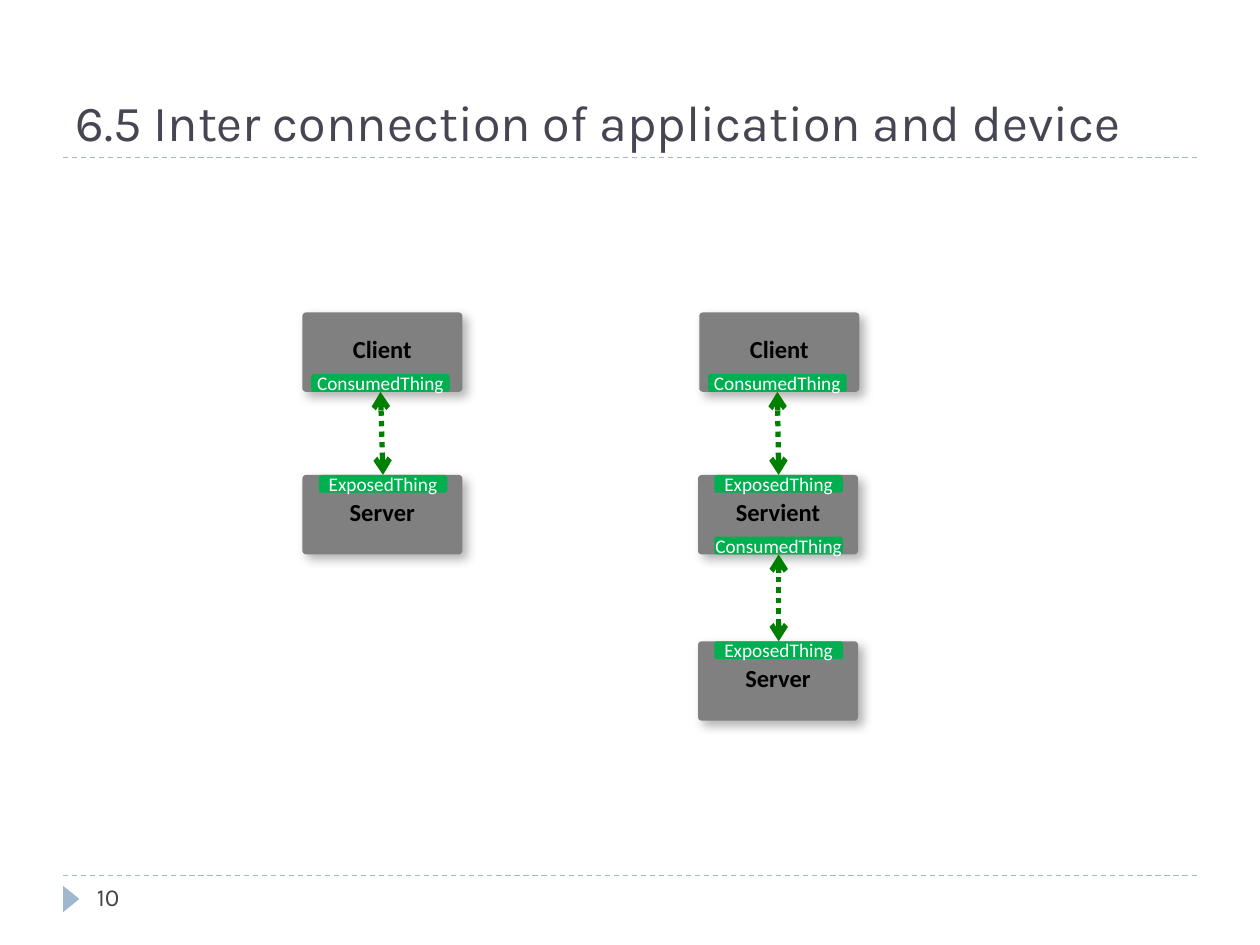
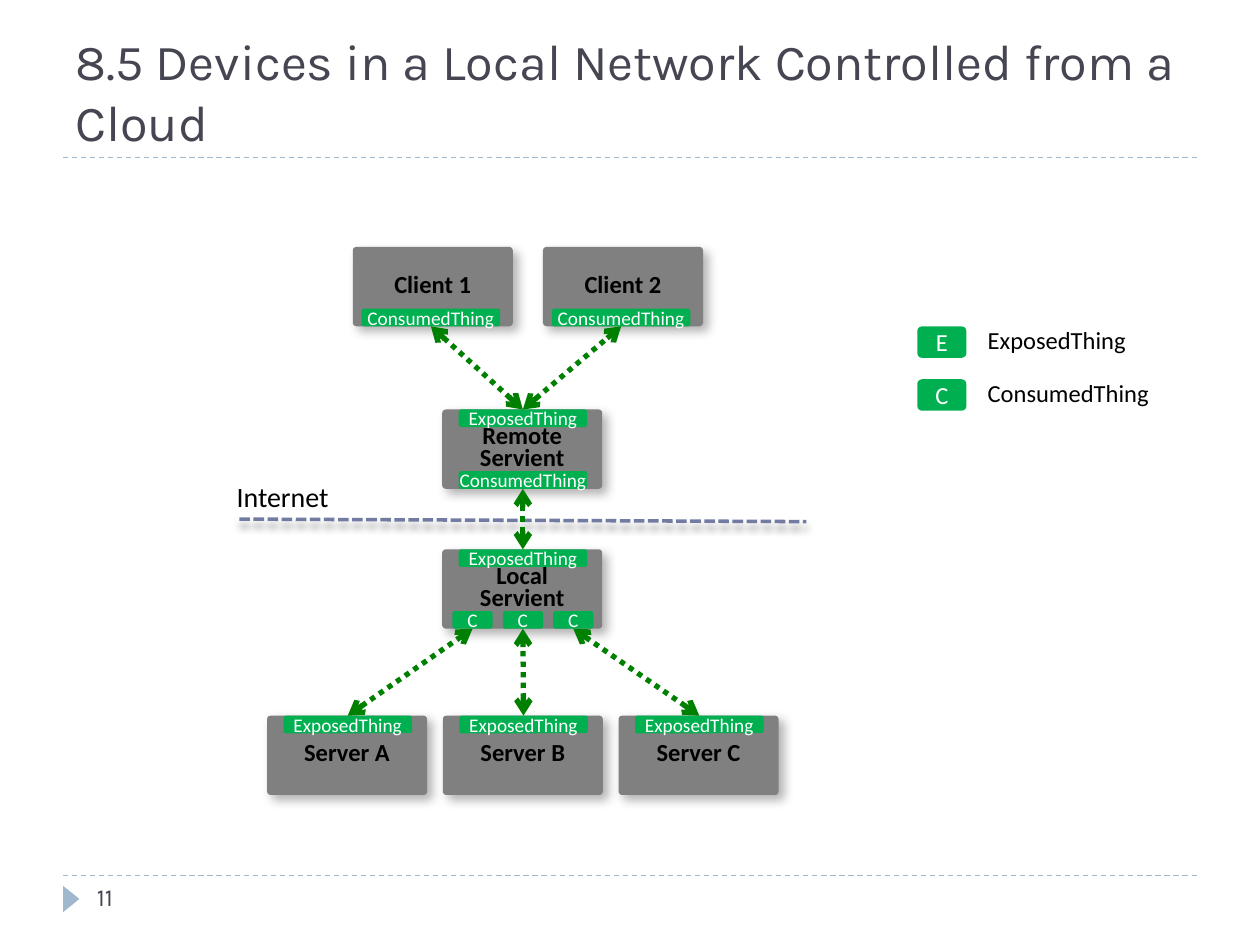
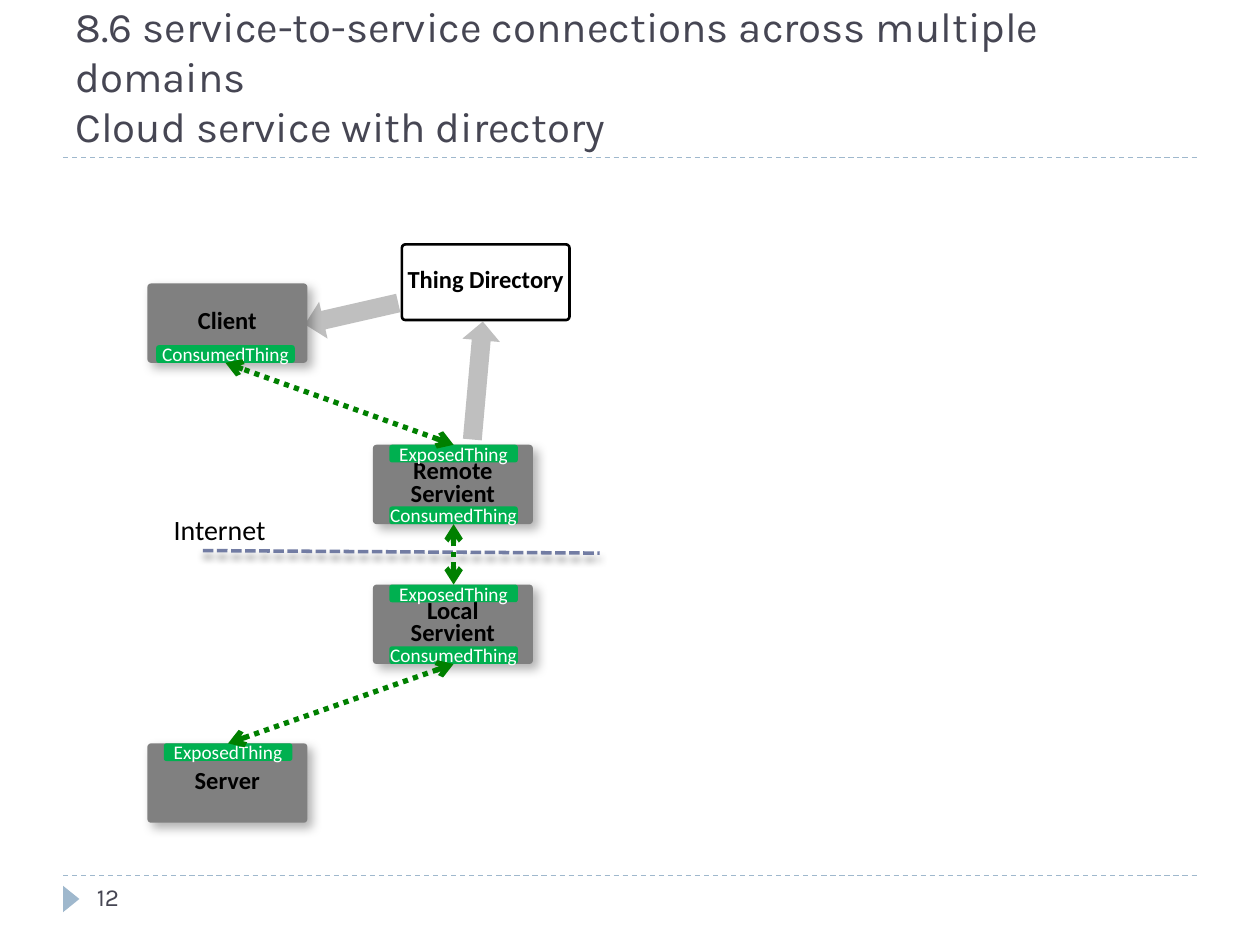
"""Build three slides that show how clients, servients and servers connect."""
from dataclasses import dataclass

from lxml.etree import SubElement
from pptx import Presentation
from pptx.dml.color import RGBColor
from pptx.enum.dml import MSO_LINE
from pptx.enum.shapes import MSO_CONNECTOR, MSO_SHAPE
from pptx.enum.text import MSO_ANCHOR, MSO_AUTO_SIZE, PP_ALIGN
from pptx.oxml.ns import qn
from pptx.util import Inches, Pt


@dataclass(frozen=True)
class Theme:
    heading_font: str = "Karla"
    body_font: str = "Calibri"
    ink: RGBColor = RGBColor(0x46, 0x46, 0x53)
    accent: RGBColor = RGBColor(0x9F, 0xB8, 0xCD)
    border: RGBColor = RGBColor(0x72, 0x7C, 0xA3)
    node: RGBColor = RGBColor(0x80, 0x80, 0x80)
    tag: RGBColor = RGBColor(0x00, 0xB0, 0x50)
    link: RGBColor = RGBColor(0x00, 0x80, 0x00)
    arrow: RGBColor = RGBColor(0xBF, 0xBF, 0xBF)
    black: RGBColor = RGBColor(0, 0, 0)
    white: RGBColor = RGBColor(0xFF, 0xFF, 0xFF)
    title_size: float = 28.8
    long_title_size: float = 24
    network_size: float = 16
    label_size: float = 14
    tag_size: float = 11


@dataclass(frozen=True)
class Style:
    size: float
    color: RGBColor
    font: str = Theme.body_font
    bold: bool = False
    align: PP_ALIGN = PP_ALIGN.LEFT
    spacing: float = 1.0


@dataclass(frozen=True)
class Shadow:
    opacity: int
    blur: float
    distance: float
    angle: int


@dataclass(frozen=True)
class Tag:
    text: str
    left: float
    width: float


@dataclass(frozen=True)
class Node:
    name: str
    x: float
    y: float
    top: tuple = ()
    bottom: tuple = ()


@dataclass(frozen=True)
class Ports:
    top: list
    bottom: list


T = Theme()
NODE_W, NODE_H, TAG_H = 1.27, 0.63, 0.14
NODE_SHADOW = Shadow(30, 6, 4, 45)
BORDER_SHADOW = Shadow(40, 4, 3.4, 90)

NODE_TEXT = Style(T.label_size, T.black, bold=True, align=PP_ALIGN.CENTER, spacing=0.75)
TAG_TEXT = Style(T.tag_size, T.white, align=PP_ALIGN.CENTER)
KEY_TEXT = Style(T.label_size, T.white, align=PP_ALIGN.CENTER)
LABEL_TEXT = Style(T.label_size, T.black)
NETWORK_TEXT = Style(T.network_size, T.black)
PAGE_TEXT = Style(T.label_size, T.ink, T.heading_font)

EXPOSED = Tag("ExposedThing", 0.13, 1.02)
CONSUMED = Tag("ConsumedThing", 0.13, 1.02)
CLIENT_CONSUMED = Tag("ConsumedThing", 0.07, 1.1)
SHORT_CONSUMED = tuple(Tag("C", 0.08 + 0.4 * i, 0.32) for i in range(3))


def client(name: str, x: float, y: float) -> Node:
    """Describe a node that only consumes."""
    return Node(name, x, y, bottom=(CLIENT_CONSUMED,))


def servient(name: str, x: float, y: float, bottom: tuple = (CONSUMED,)) -> Node:
    """Describe a node that both exposes and consumes."""
    return Node(name, x, y, (EXPOSED,), bottom)


def server(name: str, x: float, y: float) -> Node:
    """Describe a node that only exposes."""
    return Node(name, x, y, top=(EXPOSED,))


def style_paragraph(p, style: Style) -> None:
    """Apply a text style to one paragraph."""
    p.alignment, p.line_spacing = style.align, style.spacing
    p.font.name, p.font.size = style.font, Pt(style.size)
    p.font.bold, p.font.color.rgb = style.bold, style.color


def add_shadow(effects, shadow: Shadow) -> None:
    """Put an outer shadow into an effect list."""
    outer = SubElement(effects, qn("a:outerShdw"), blurRad=str(Pt(shadow.blur)),
                       dist=str(Pt(shadow.distance)), dir=str(shadow.angle * 60000),
                       algn="tl", rotWithShape="0")
    color = SubElement(outer, qn("a:srgbClr"), val=str(T.black))
    SubElement(color, qn("a:alpha"), val=str(shadow.opacity * 1000))


def add_box(slide, kind: MSO_SHAPE, x: float, y: float, w: float, h: float,
            fill: RGBColor, rotation: float = 0):
    """Draw a flat preset shape without outline."""
    sp = slide.shapes.add_shape(kind, Inches(x), Inches(y), Inches(w), Inches(h))
    sp.shadow.inherit = False
    sp.fill.solid()
    sp.fill.fore_color.rgb = fill
    sp.line.fill.background()
    sp.rotation = rotation
    return sp


def add_rounded(slide, x: float, y: float, w: float, h: float, fill: RGBColor,
                radius: float, text: str, style: Style):
    """Draw a rounded box with centred text that does not wrap."""
    sp = add_box(slide, MSO_SHAPE.ROUNDED_RECTANGLE, x, y, w, h, fill)
    sp.adjustments[0] = radius
    tf = sp.text_frame
    tf.word_wrap, tf.vertical_anchor = False, MSO_ANCHOR.MIDDLE
    tf.text = text
    for p in tf.paragraphs:
        style_paragraph(p, style)
    return sp


def add_tag(slide, x: float, y: float, w: float, h: float, text: str,
            style: Style = TAG_TEXT):
    """Draw a green interface tag."""
    return add_rounded(slide, x, y, w, h, T.tag, 0.15, text, style)


def add_panel(slide, x: float, y: float, w: float, h: float, fill: RGBColor, text: str):
    """Draw a named box with no text insets."""
    sp = add_rounded(slide, x, y, w, h, fill, 0.045, text, NODE_TEXT)
    tf = sp.text_frame
    tf.margin_left = tf.margin_right = tf.margin_top = tf.margin_bottom = 0
    return sp


def add_node(slide, node: Node) -> Ports:
    """Draw a node with its tags and return the tags as link ends."""
    sp = add_panel(slide, node.x, node.y, NODE_W, NODE_H, T.node, node.name)
    add_shadow(sp.element.spPr.find(qn("a:effectLst")), NODE_SHADOW)

    def tag_row(tags: tuple, y: float) -> list:
        """Draw the tags along one edge of the node."""
        return [add_tag(slide, node.x + t.left, y, t.width, TAG_H, t.text) for t in tags]

    return Ports(tag_row(node.top, node.y),
                 tag_row(node.bottom, node.y + NODE_H - TAG_H))


def add_line(slide, start: tuple, end: tuple, color: RGBColor, width: float,
             dash: MSO_LINE):
    """Draw a straight dashed line without shadow."""
    line = slide.shapes.add_connector(MSO_CONNECTOR.STRAIGHT, *map(Inches, start + end))
    line.line.color.rgb, line.line.width = color, Pt(width)
    line.line.dash_style = dash
    SubElement(line.element.spPr, qn("a:effectLst"))
    return line


def add_link(slide, lower, upper) -> None:
    """Join the top of a lower tag to the bottom of an upper tag with arrows."""
    line = add_line(slide, (0, 0), (0, 0), T.link, 3, MSO_LINE.ROUND_DOT)
    line.begin_connect(lower, 0)
    line.end_connect(upper, 2)
    ln = line.element.spPr.find(qn("a:ln"))
    for end in ("a:headEnd", "a:tailEnd"):
        SubElement(ln, qn(end), type="arrow")


def add_label(slide, x: float, y: float, w: float, h: float, text: str,
              style: Style) -> None:
    """Write a one-line label that sizes its own box."""
    tf = slide.shapes.add_textbox(Inches(x), Inches(y), Inches(w), Inches(h)).text_frame
    tf.word_wrap, tf.auto_size = False, MSO_AUTO_SIZE.SHAPE_TO_FIT_TEXT
    tf.text = text
    style_paragraph(tf.paragraphs[0], style)


def add_network_border(slide, start: tuple, end: tuple, label_x: float,
                       label_y: float) -> None:
    """Draw the line between the internet and the local network."""
    line = add_line(slide, start, end, T.border, 2, MSO_LINE.SQUARE_DOT)
    add_shadow(line.element.spPr.find(qn("a:effectLst")), BORDER_SHADOW)
    add_label(slide, label_x, label_y, 0.94, 0.37, "Internet", NETWORK_TEXT)


def add_frame_text(slide, x: float, y: float, w: float, h: float, text: str,
                   style: Style, anchor: MSO_ANCHOR) -> None:
    """Write the title or page number in a wrapping box."""
    tf = slide.shapes.add_textbox(Inches(x), Inches(y), Inches(w), Inches(h)).text_frame
    tf.word_wrap, tf.vertical_anchor = True, anchor
    p = tf.paragraphs[0]
    p.text = text
    style_paragraph(p, style)


def new_slide(prs, title: str, page: int, size: float = T.title_size):
    """Add a slide with its rules, title, marker and page number."""
    slide = prs.slides.add_slide(prs.slide_layouts[6])
    for y in (6.95, 1.25):
        add_line(slide, (0.5, y), (9.5, y), T.accent, 0.75, MSO_LINE.DASH)
    add_box(slide, MSO_SHAPE.ISOSCELES_TRIANGLE, 0.46, 7.07, 0.21, 0.13, T.accent, 90)
    add_frame_text(slide, 0.5, 0.25, 9, 1, title,
                   Style(size, T.ink, T.heading_font), MSO_ANCHOR.BOTTOM)
    add_frame_text(slide, 0.67, 6.95, 2.17, 0.4, str(page), PAGE_TEXT, MSO_ANCHOR.TOP)
    return slide


def build_interconnection(prs) -> None:
    """Show a direct chain beside a chain through a servient."""
    slide = new_slide(prs, "6.5 Inter connection of application and device", 10)
    chains = (
        (client("Client", 2.4, 2.48), server("Server", 2.4, 3.77)),
        (client("Client", 5.55, 2.48), servient("Servient", 5.54, 3.77),
         server("Server", 5.54, 5.09)),
    )
    for chain in chains:
        ports = [add_node(slide, node) for node in chain]
        for upper, lower in zip(ports, ports[1:]):
            add_link(slide, lower.top[0], upper.bottom[0])


def build_cloud_control(prs) -> None:
    """Show two clients that reach three local servers through a cloud."""
    slide = new_slide(prs, "8.5 Devices in a Local Network Controlled from a Cloud", 11)
    add_network_border(slide, (1.9, 4.12), (6.4, 4.14), 1.78, 3.76)
    clients = [add_node(slide, client(f"Client {i + 1}", 2.8 + 1.51 * i, 1.96))
               for i in range(2)]
    remote = add_node(slide, servient("Remote\nServient", 3.51, 3.25))
    local = add_node(slide, servient("Local\nServient", 3.51, 4.36, SHORT_CONSUMED))
    servers = [add_node(slide, server(f"Server {letter}", 2.12 + 1.395 * i, 5.68))
               for i, letter in enumerate("ABC")]
    for ports in clients:
        add_link(slide, remote.top[0], ports.bottom[0])
    add_link(slide, local.top[0], remote.bottom[0])
    for ports, tag in zip(servers, local.bottom):
        add_link(slide, ports.top[0], tag)
    for i, (key, meaning, width) in enumerate((("E", "ExposedThing", 1.31),
                                               ("C", "ConsumedThing", 1.49))):
        y = 2.53 + 0.42 * i
        add_tag(slide, 7.28, y + 0.06, 0.39, 0.25, key, KEY_TEXT)
        add_label(slide, 7.74, y, width, 0.34, meaning, LABEL_TEXT)


def build_directory_service(prs) -> None:
    """Show a client that finds a remote servient through a directory."""
    slide = new_slide(prs, "8.6 service-to-service connections across multiple domains\n"
                           "Cloud service with directory", 12, T.long_title_size)
    add_network_border(slide, (1.61, 4.37), (4.76, 4.39), 1.28, 4.02)
    add_box(slide, MSO_SHAPE.DOWN_ARROW, 2.64, 2.11, 0.3, 0.76, T.arrow, 77.1)
    add_box(slide, MSO_SHAPE.DOWN_ARROW, 3.64, 2.55, 0.3, 0.94, T.arrow, 185.1)
    directory = add_panel(slide, 3.19, 1.94, 1.33, 0.6, T.white, "Thing Directory")
    directory.line.color.rgb, directory.line.width = T.black, Pt(1.5)
    chain = (client("Client", 1.17, 2.25), servient("Remote\nServient", 2.96, 3.53),
             servient("Local\nServient", 2.96, 4.64), server("Server", 1.17, 5.9))
    ports = [add_node(slide, node) for node in chain]
    for upper, lower in zip(ports, ports[1:]):
        add_link(slide, lower.top[0], upper.bottom[0])


def main() -> None:
    """Build and save the presentation."""
    prs = Presentation()
    prs.slide_width, prs.slide_height = Inches(10), Inches(7.5)
    build_interconnection(prs)
    build_cloud_control(prs)
    build_directory_service(prs)
    prs.save("out.pptx")


if __name__ == "__main__":
    main()
